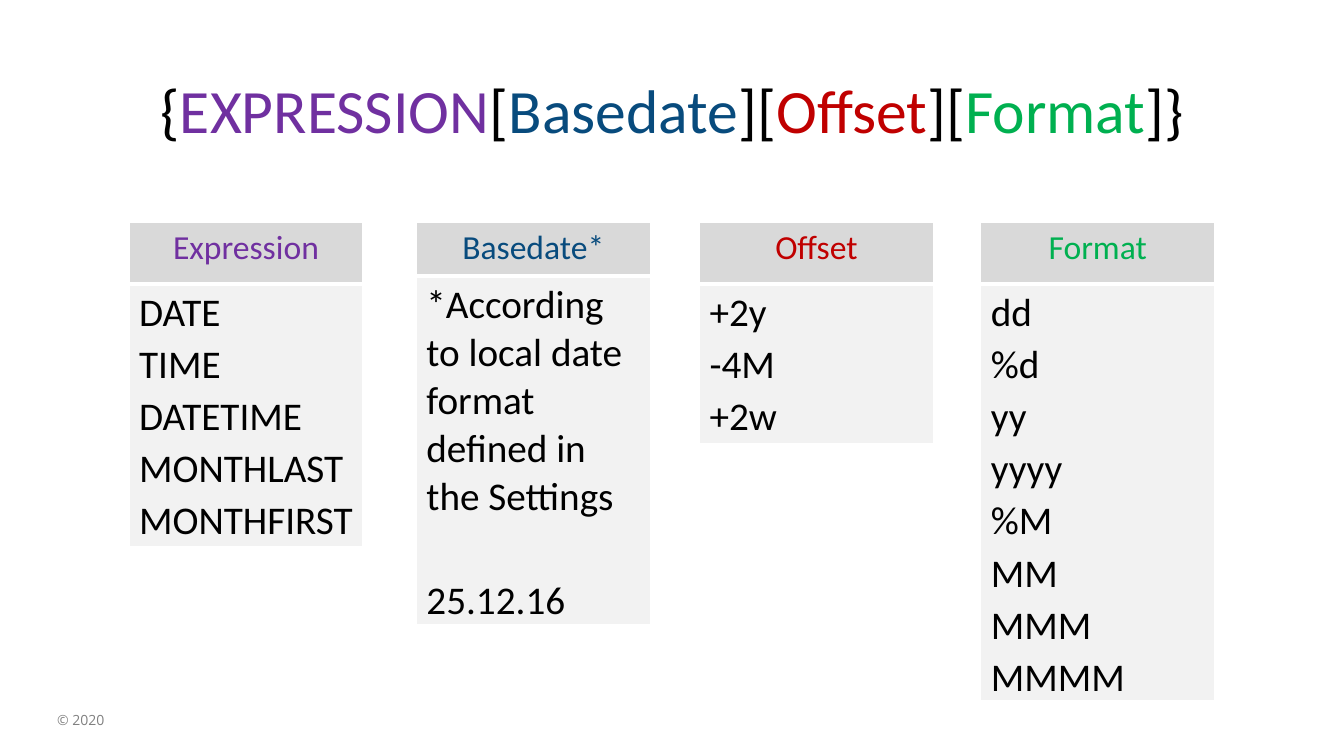
from typing import NamedTuple

from lxml import etree
from pptx import Presentation
from pptx import util as u
from pptx.dml.color import RGBColor
from pptx.enum import text
from pptx.oxml import ns

BLACK = RGBColor(0x00, 0x00, 0x00)
WHITE = RGBColor(0xFF, 0xFF, 0xFF)
PURPLE = RGBColor(0x70, 0x30, 0xA0)
BLUE = RGBColor(0x08, 0x4B, 0x7D)
RED = RGBColor(0xC0, 0x00, 0x00)
GREEN = RGBColor(0x00, 0xB0, 0x50)
GREY = RGBColor(0x80, 0x80, 0x80)
HEADER_FILL = RGBColor(0xD9, 0xD9, 0xD9)
BODY_FILL = RGBColor(0xF2, 0xF2, 0xF2)

COLUMN_TOP = u.Pt(159.1)
COLUMN_WIDTH = u.Pt(167)
PARAGRAPH_GAP = u.Pt(3)
SAMPLE_GAP = u.Pt(37)


class Column(NamedTuple):
    heading: str
    color: RGBColor
    left: float
    header_height: float
    body_height: float
    entries: list[str]
    sample: str = ""  # set apart below the entries


COLUMNS = [
    Column("Expression", PURPLE, 92.2, 43.9, 187.2,
           ["DATE", "TIME", "DATETIME", "MONTHLAST", "MONTHFIRST"]),
    Column("Basedate*", BLUE, 297.4, 38.2, 248.4,
           ["*According to local date format defined in the Settings"], "25.12.16"),
    Column("Offset", RED, 499.7, 43.9, 113.8, ["+2y", "-4M", "+2w"]),
    Column("Format", GREEN, 700.6, 43.9, 296.6,
           ["dd", "%d", "yy", "yyyy", "%M", "MM", "MMM", "MMMM"]),
]

SYNTAX = [
    ("{", BLACK), ("EXPRESSION", PURPLE), ("[", BLACK), ("Basedate", BLUE),
    ("][", BLACK), ("Offset", RED), ("][", BLACK), ("Format", GREEN), ("]}", BLACK),
]


def add_run(paragraph, wording: str, size: float, color: RGBColor,
            font: str = "Calibri") -> None:
    run = paragraph.add_run()
    run.text = wording
    run.font.name = font
    run.font.size = u.Pt(size)
    run.font.bold = False
    run.font.color.rgb = color


def add_frame(slide, left: float, top: float, width: float, height: float):
    """Add a wrapping text box and return its text frame."""
    box = slide.shapes.add_textbox(u.Pt(left), u.Pt(top), u.Pt(width), u.Pt(height))
    box.text_frame.word_wrap = True
    return box.text_frame


def style_cell(cell, fill: RGBColor, top: float, bottom: float) -> None:
    """Fill a cell and give it white borders; top and bottom are widths in points."""
    cell.fill.solid()
    cell.fill.fore_color.rgb = fill
    properties = cell._tc.get_or_add_tcPr()
    widths = {"a:lnL": 1, "a:lnR": 1, "a:lnT": top, "a:lnB": bottom}
    for index, (tag, width) in enumerate(widths.items()):
        border = etree.Element(ns.qn(tag), w=str(u.Pt(width)))
        solid = etree.SubElement(border, ns.qn("a:solidFill"))
        etree.SubElement(solid, ns.qn("a:srgbClr"), val=str(WHITE))
        properties.insert(index, border)


def add_column(slide, column: Column) -> None:
    height = u.Pt(column.header_height + column.body_height)
    table = slide.shapes.add_table(
        2, 1, u.Pt(column.left), COLUMN_TOP, COLUMN_WIDTH, height).table
    table.horz_banding = False
    table.rows[0].height = u.Pt(column.header_height)
    table.rows[1].height = u.Pt(column.body_height)
    header, body = table.cell(0, 0), table.cell(1, 0)
    style_cell(header, HEADER_FILL, top=1, bottom=3)
    style_cell(body, BODY_FILL, top=3, bottom=1)

    heading = header.text_frame.paragraphs[0]
    heading.alignment = text.PP_ALIGN.CENTER
    add_run(heading, column.heading, 24, column.color)

    entry = body.text_frame.paragraphs[0]
    for index, wording in enumerate(column.entries):
        if index:
            entry = body.text_frame.add_paragraph()
        entry.space_after = PARAGRAPH_GAP
        add_run(entry, wording, 28, BLACK)
    if column.sample:
        sample = body.text_frame.add_paragraph()
        sample.space_before = SAMPLE_GAP
        sample.space_after = PARAGRAPH_GAP
        add_run(sample, column.sample, 28, BLACK)


def add_title(slide) -> None:
    frame = add_frame(slide, 66.2, 28.8, 828, 104.4)
    frame.vertical_anchor = text.MSO_ANCHOR.MIDDLE
    title = frame.paragraphs[0]
    title.alignment = text.PP_ALIGN.CENTER
    title.line_spacing = 0.9
    title.space_after = PARAGRAPH_GAP
    for wording, color in SYNTAX:
        add_run(title, wording, 44, color)


def main() -> None:
    deck = Presentation()
    deck.slide_width, deck.slide_height = u.Pt(960), u.Pt(540)
    slide = deck.slides.add_slide(deck.slide_layouts[6])
    copyright_line = add_frame(slide, 33.8, 504.7, 151.9, 19.4)
    add_run(copyright_line.paragraphs[0], "© 2020", 10, GREY, "Open Sans")
    add_title(slide)
    for column in COLUMNS:
        add_column(slide, column)
    deck.save("out.pptx")


if __name__ == "__main__":
    main()
